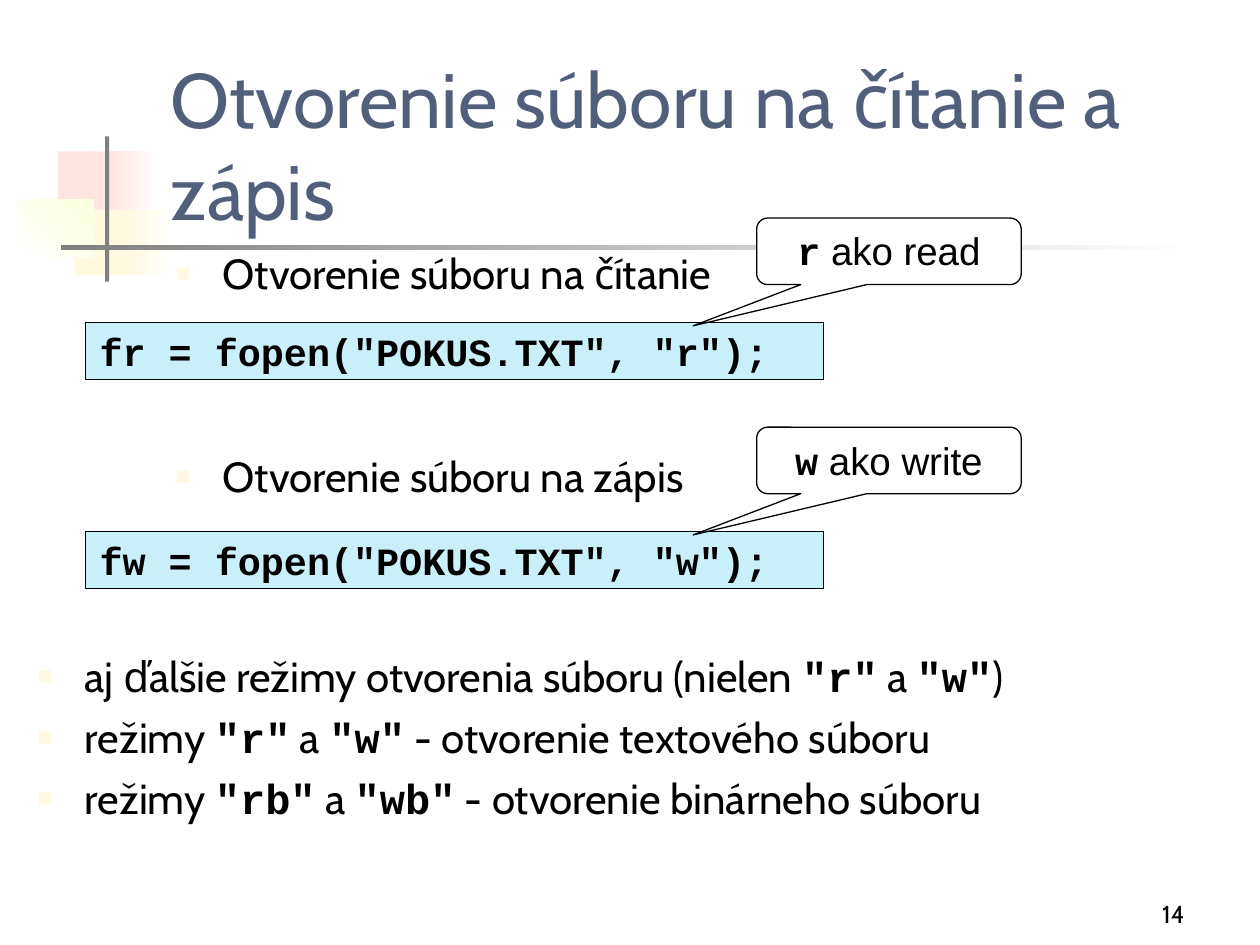
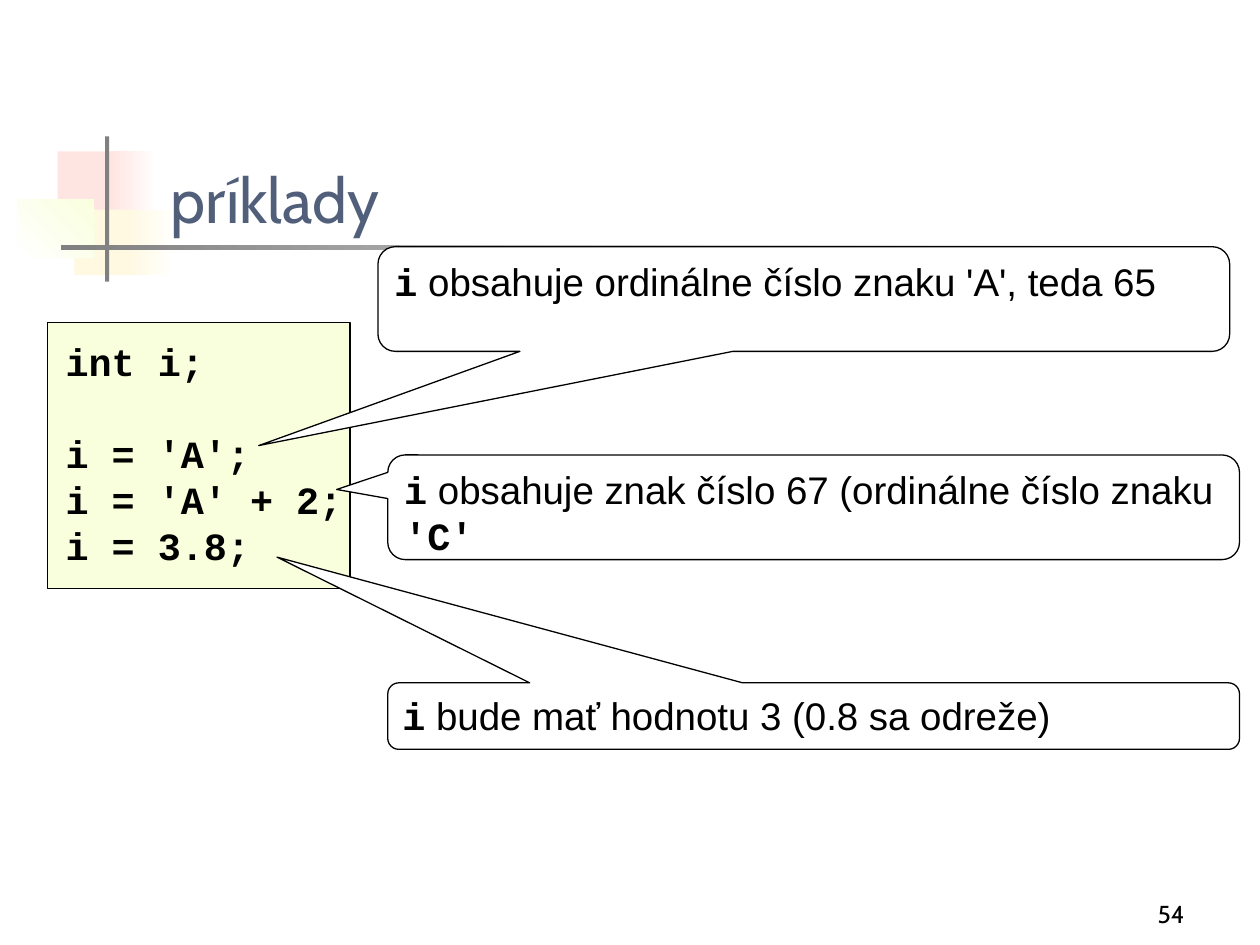
from lxml import etree
from pptx import Presentation
from pptx.dml.color import RGBColor
from pptx.enum.shapes import MSO_SHAPE
from pptx.enum.text import MSO_ANCHOR, MSO_AUTO_SIZE, PP_ALIGN
from pptx.oxml.ns import qn
from pptx.util import Pt

TEXT_FONT, NOTE_FONT, CODE_FONT = "Cabin", "Arial", "Courier New"
BLACK, WHITE, GREY, TITLE_BLUE = "000000", "FFFFFF", "808080", "515F7B"
PINK, CREAM, LIME, CYAN = "FFE5E1", "FFF9E1", "F9FFDD", "C9F0F9"

TITLE_BOX = (90.4, 48.4, 613.4, 90)
NUMBER_BOX = (534.2, 498.2, 149.8, 36)
CODE_SIZE = 22
CODE_LINE = 26.2

# box, first colour, last colour (None for a plain fill), gradient angle
ORNAMENTS = [
    ((33, 86.5, 34.5, 37.5), PINK, None, 0),
    ((63.5, 86.5, 26, 37.5), WHITE, PINK, 180),
    ((42.5, 119.8, 33, 37.5), CREAM, None, 0),
    ((72, 119.8, 29, 37.5), WHITE, CREAM, 180),
    ((10, 114, 44, 33), LIME, WHITE, 225),
    ((60, 78, 2.4, 83), GREY, None, 0),
    ((34.8, 140, 648, 2.8), WHITE, GREY, 180),
]


def rgb(value):
    return RGBColor.from_string(value)


def points(box):
    return [Pt(length) for length in box]


def place(shape, box):
    shape.left, shape.top, shape.width, shape.height = points(box)


def add_panel(slide, kind, box, fill):
    panel = slide.shapes.add_shape(kind, *points(box))
    panel.shadow.inherit = False
    panel.fill.solid()
    panel.fill.fore_color.rgb = rgb(fill)
    panel.line.color.rgb = rgb(BLACK)
    panel.line.width = Pt(0.75)
    return panel


def add_ornaments(slide, master):
    """Draw the corner squares and rules, then move them to the master."""
    for number, (box, first, last, angle) in enumerate(ORNAMENTS):
        ornament = add_panel(slide, MSO_SHAPE.RECTANGLE, box, first)
        ornament.line.fill.background()
        if last:
            ornament.fill.gradient()
            ornament.fill.gradient_angle = angle
            for stop, colour in zip(ornament.fill.gradient_stops, (first, last)):
                stop.color.rgb = rgb(colour)
        ornament.element.nvSpPr.cNvPr.set("id", str(100 + number))
        master.shapes.element.append(ornament.element)


def set_font(paragraph, name, size, colour=BLACK, bold=False):
    font = paragraph.font
    font.name, font.size, font.bold = name, Pt(size), bold
    font.color.rgb = rgb(colour)


def write_mixed(paragraph, text, name, size):
    """Write text whose parts between backticks are code."""
    set_font(paragraph, name, size)
    for index, part in enumerate(text.split("`")):
        if part:
            run = paragraph.add_run()
            run.text = part
            if index % 2:
                run.font.name, run.font.bold = CODE_FONT, True


def add_bullet(paragraph):
    properties = paragraph._p.get_or_add_pPr()
    properties.set("marL", str(Pt(27)))
    properties.set("indent", str(-Pt(27)))
    colour = etree.SubElement(properties, qn("a:buClr"))
    etree.SubElement(colour, qn("a:srgbClr"), val=CREAM)
    etree.SubElement(properties, qn("a:buSzPct"), val="60000")
    etree.SubElement(properties, qn("a:buFont"), typeface=NOTE_FONT)
    etree.SubElement(properties, qn("a:buChar"), char="■")


def fill_bullets(frame, items, gap):
    frame.word_wrap = True
    frame.auto_size = MSO_AUTO_SIZE.NONE
    for index, item in enumerate(items):
        paragraph = frame.add_paragraph() if index else frame.paragraphs[0]
        paragraph.space_before = Pt(gap if index else 0)
        add_bullet(paragraph)
        write_mixed(paragraph, item, TEXT_FONT, 24)


def set_side_margins(frame):
    frame.margin_left = frame.margin_right = Pt(6.5)


def add_code(slide, box, text_box, fill, code):
    """Draw a code panel; a blank line of code becomes space before the next."""
    add_panel(slide, MSO_SHAPE.RECTANGLE, box, fill)
    frame = slide.shapes.add_textbox(*points(text_box)).text_frame
    frame.word_wrap = False
    frame.auto_size = MSO_AUTO_SIZE.SHAPE_TO_FIT_TEXT
    set_side_margins(frame)
    paragraph, gap = frame.paragraphs[0], 0
    for index, line in enumerate(code):
        if not line:
            gap += CODE_LINE
            continue
        if index:
            paragraph = frame.add_paragraph()
        paragraph.text = line
        paragraph.space_before = Pt(gap)
        set_font(paragraph, CODE_FONT, CODE_SIZE, bold=True)
        gap = 0


def add_callout(slide, box, tip, note, align=PP_ALIGN.LEFT):
    callout = add_panel(slide, MSO_SHAPE.ROUNDED_RECTANGULAR_CALLOUT, box, WHITE)
    callout.adjustments[0], callout.adjustments[1] = tip
    frame = callout.text_frame
    frame.word_wrap = True
    frame.vertical_anchor = MSO_ANCHOR.TOP
    set_side_margins(frame)
    paragraph = frame.paragraphs[0]
    paragraph.alignment = align
    write_mixed(paragraph, note, NOTE_FONT, CODE_SIZE)


def add_title(slide, text, size):
    title = slide.shapes.title
    place(title, TITLE_BOX)
    frame = title.text_frame
    frame.text = text
    frame.vertical_anchor = MSO_ANCHOR.BOTTOM
    frame.auto_size = MSO_AUTO_SIZE.NONE
    frame.paragraphs[0].alignment = PP_ALIGN.LEFT
    set_font(frame.paragraphs[0], TEXT_FONT, size, TITLE_BLUE)


def add_number(slide, number):
    frame = slide.shapes.add_textbox(*points(NUMBER_BOX)).text_frame
    frame.word_wrap = True
    frame.vertical_anchor = MSO_ANCHOR.BOTTOM
    frame.text = number
    frame.paragraphs[0].alignment = PP_ALIGN.RIGHT
    set_font(frame.paragraphs[0], TEXT_FONT, 14)


def add_fopen_example(slide, top, code, note):
    left, height = 48.7, 32.4
    add_code(slide, (left, top, 422, height), (left + 1.7, top - 0.3, 400, 33),
             CYAN, [code])
    add_callout(slide, (left + 383.7, top - 59.7, 151.2, 38), (-0.74, 1.12),
                note, PP_ALIGN.CENTER)


def build_open_modes(slide):
    add_title(slide, "Otvorenie súboru na čítanie a zápis", 44)
    headings = slide.placeholders[1]
    place(headings, (93, 138, 612, 345))
    fill_bullets(headings.text_frame,
                 ["Otvorenie súboru na čítanie", "Otvorenie súboru na zápis"], 87)
    add_fopen_example(slide, 184.3, 'fr = fopen("POKUS.TXT", "r");', "`r` ako read")
    add_fopen_example(slide, 303.8, 'fw = fopen("POKUS.TXT", "w");', "`w` ako write")
    modes = slide.shapes.add_textbox(*points((14.4, 368.2, 692, 152)))
    fill_bullets(modes.text_frame, [
        'aj ďalšie režimy otvorenia súboru (nielen `"r"` a `"w"`)',
        'režimy `"r"` a `"w"` - otvorenie textového súboru',
        'režimy `"rb"` a `"wb"` - otvorenie binárneho súboru',
    ], 6)
    add_number(slide, "14")


def build_examples(slide):
    add_title(slide, "príklady", 36)
    add_code(slide, (27.2, 184.3, 172.8, 152), (31, 189.6, 171.4, 138), LIME,
             ["int i;", "", "i = 'A';", "i = 'A' + 2;", "i = 3.8;"])
    notes = [
        (216, 141, 59.8, (-0.64, 1.4),
         "`i` obsahuje ordinálne číslo znaku 'A', teda 65"),
        (221.6, 260, 59.8, (-0.56, -0.17),
         "`i` obsahuje znak číslo 67 (ordinálne číslo znaku `'C'`"),
        (221.6, 390.2, 38, (-0.63, -2.39),
         "`i` bude mať hodnotu 3 (0.8 sa odreže)"),
    ]
    for left, top, height, tip, note in notes:
        add_callout(slide, (left, top, 486.7, height), tip, note)
    add_number(slide, "54")


def main():
    deck = Presentation()
    deck.slide_width, deck.slide_height = Pt(720), Pt(540)
    open_modes = deck.slides.add_slide(deck.slide_layouts[1])
    add_ornaments(open_modes, deck.slide_master)
    build_open_modes(open_modes)
    build_examples(deck.slides.add_slide(deck.slide_layouts[5]))
    deck.save("out.pptx")


if __name__ == "__main__":
    main()
